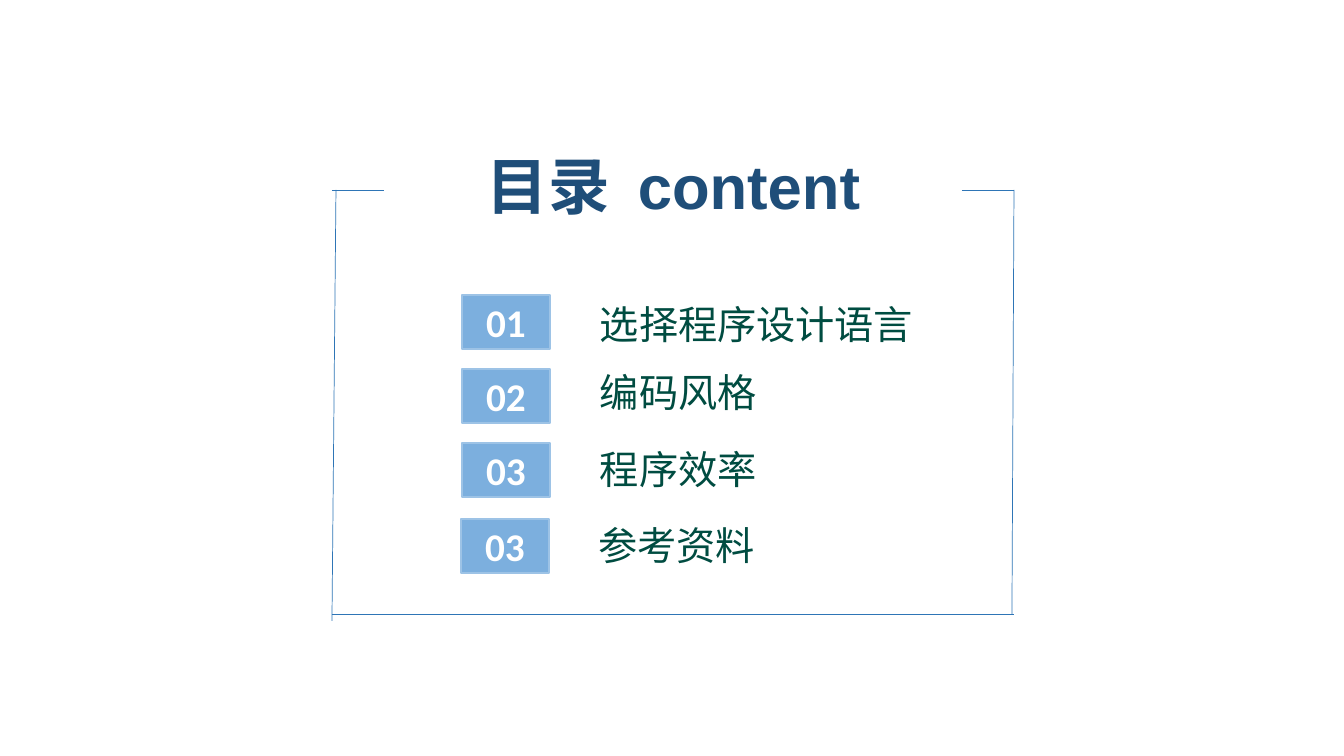
from lxml.etree import SubElement
from pptx import Presentation
from pptx.dml.color import RGBColor
from pptx.enum.shapes import MSO_CONNECTOR as CONN, MSO_SHAPE as SHAPE
from pptx.enum.text import MSO_ANCHOR as ANCHOR, MSO_AUTO_SIZE as FIT, PP_ALIGN as ALIGN
from pptx.oxml.ns import qn
from pptx.util import Pt

PX = 914400 / 100.8
NAVY = RGBColor(0x1F, 0x4E, 0x79)
FRAME = RGBColor(0x2E, 0x75, 0xB6)
BLUE = RGBColor(0x7C, 0xAF, 0xDE)
EDGE = RGBColor(0x9D, 0xC3, 0xE6)
GREEN = RGBColor(0x00, 0x4C, 0x41)
WHITE = RGBColor(0xFF, 0xFF, 0xFF)
CJK = "Noto Sans CJK SC"

TITLE = "目录  content"
TITLE_BOX = (461, 143, 425, 85)
FRAME_LINES = [
    (336, 190, 332, 621),
    (332, 614, 1014, 614),
    (1014, 190, 1012, 614),
    (332, 190, 384, 190),
    (962, 190, 1014, 190),
]
ITEMS = [
    ("01", (462, 295), "选择程序设计语言", (600, 298), 481),
    ("02", (462, 369), "编码风格", (600, 366), 455),
    ("03", (462, 443), "程序效率", (600, 443), 455),
    ("03", (461, 519), "参考资料", (598, 519), 455),
]
BADGE_SIZE = (88, 54)
LABEL_H = 51

TITLE_FONT = dict(name="Arial", size=Pt(44), bold=True)
BADGE_FONT = dict(name="Calibri", size=Pt(28), bold=True)
LABEL_FONT = dict(name=CJK, size=Pt(28), bold=False)
NO_INSETS = dict(margin_left=0, margin_top=0, margin_right=0, margin_bottom=0)


def emu(*lengths):
    return [round(v * PX) for v in lengths]


def set_all(obj, values):
    for name, value in values.items():
        setattr(obj, name, value)


def write(s, text, font, color, align, frame):
    tf = s.text_frame
    set_all(tf, dict(word_wrap=True, auto_size=FIT.NONE, **frame))
    p = tf.paragraphs[0]
    p.alignment = align
    r = p.add_run()
    r.text = text
    set_all(r.font, font)
    r.font.color.rgb = color
    SubElement(r.font._element, qn("a:ea"), typeface=CJK)


prs = Presentation()
prs.slide_width, prs.slide_height = emu(1344, 756)
slide = prs.slides.add_slide(prs.slide_layouts[5])
shapes = slide.shapes

title = shapes.title
set_all(title, dict(zip(("left", "top", "width", "height"), emu(*TITLE_BOX))))
write(title, TITLE, TITLE_FONT, NAVY, ALIGN.CENTER, dict(vertical_anchor=ANCHOR.TOP))

for ends in FRAME_LINES:
    line = shapes.add_connector(CONN.STRAIGHT, *emu(*ends))
    line.line.color.rgb = FRAME
    line.line.width = Pt(0.5)
    SubElement(line._element.spPr, qn("a:effectLst"))

middle = dict(vertical_anchor=ANCHOR.MIDDLE, **NO_INSETS)
for number, badge_at, label, label_at, label_w in ITEMS:
    badge = shapes.add_shape(SHAPE.RECTANGLE, *emu(*badge_at, *BADGE_SIZE))
    badge.shadow.inherit = False
    badge.fill.solid()
    badge.fill.fore_color.rgb = BLUE
    badge.line.color.rgb = EDGE
    badge.line.width = Pt(1)
    write(badge, number, BADGE_FONT, WHITE, ALIGN.CENTER, middle)
    box = shapes.add_textbox(*emu(*label_at, label_w, LABEL_H))
    write(box, label, LABEL_FONT, GREEN, ALIGN.JUSTIFY, middle)

prs.save("out.pptx")
